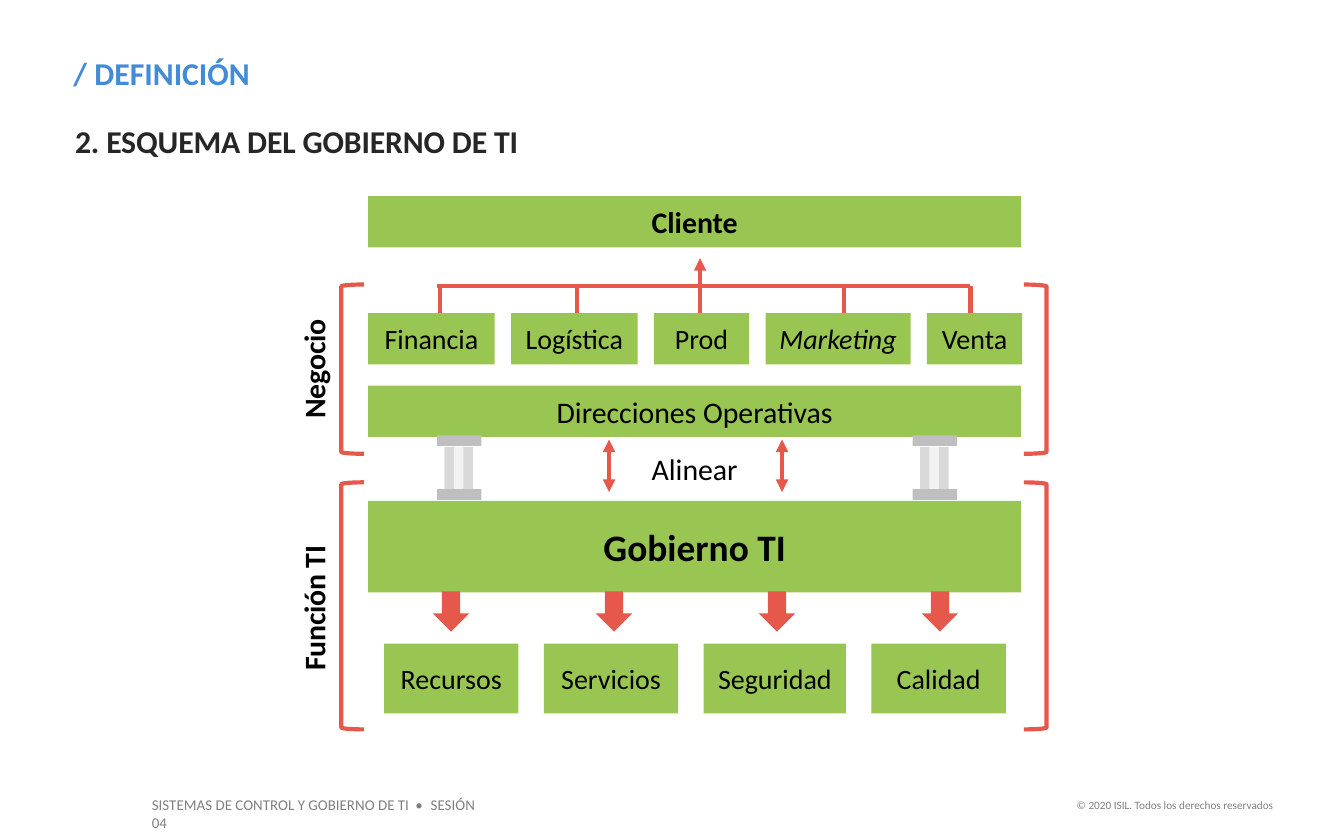
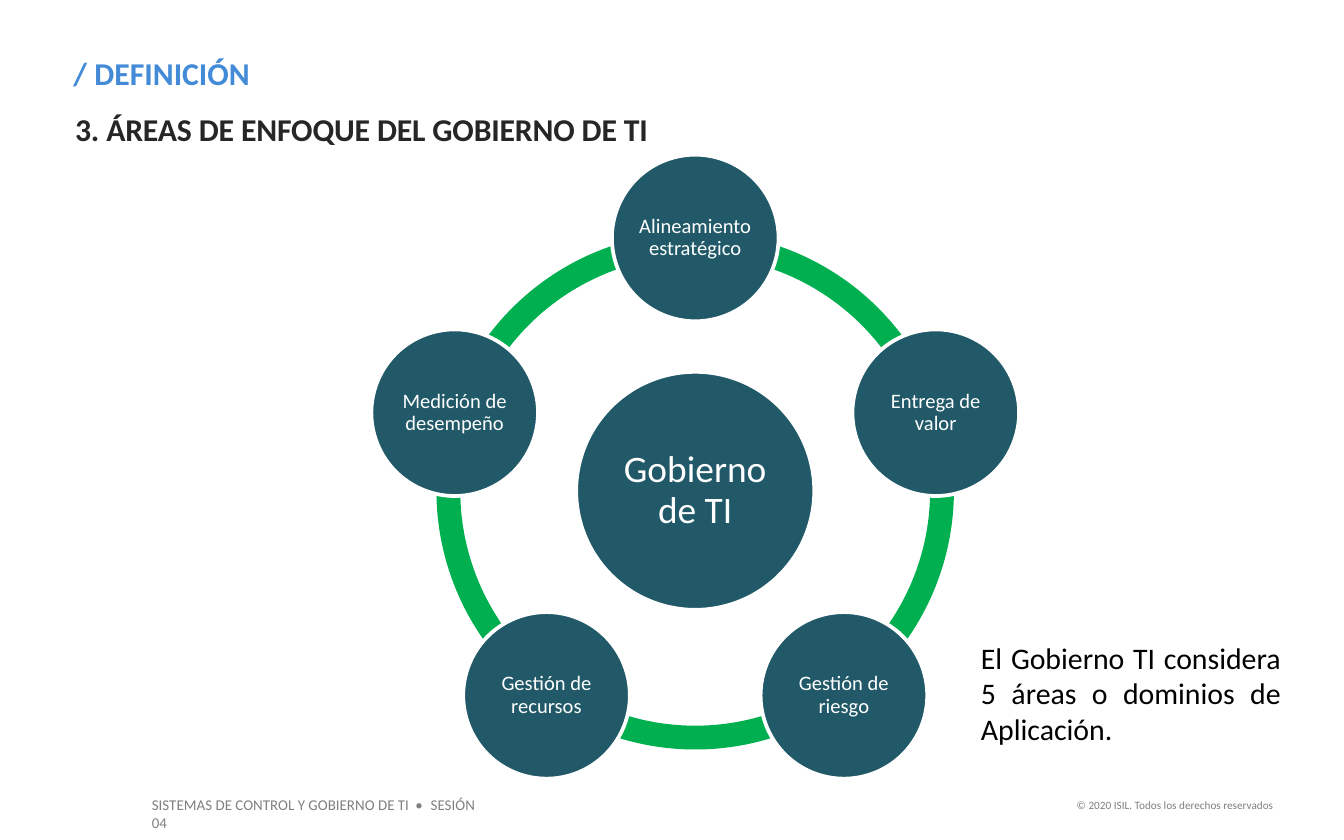
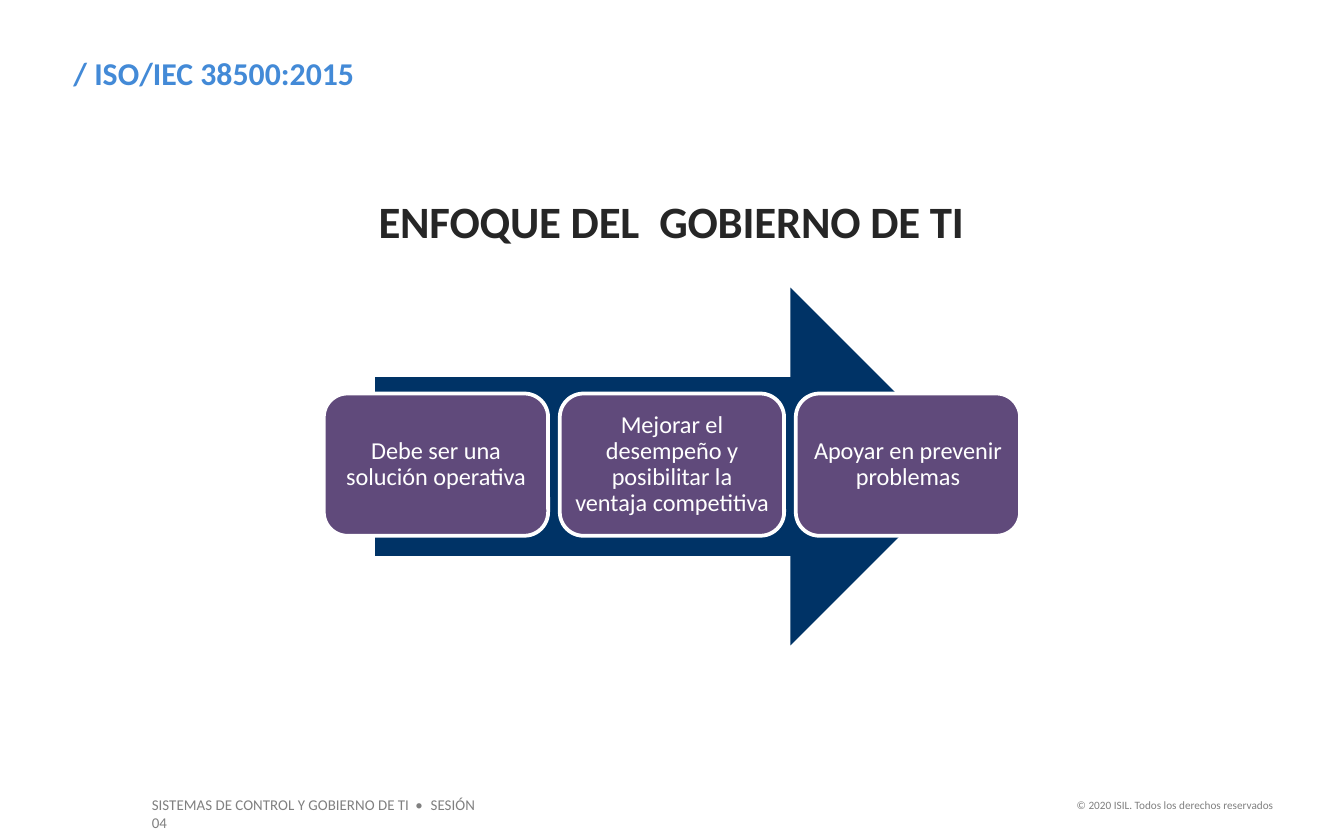
from dataclasses import dataclass
from math import cos, radians, sin
from typing import NamedTuple, Optional

from lxml.etree import SubElement
from pptx import Presentation
from pptx.dml.color import RGBColor
from pptx.enum.shapes import MSO_CONNECTOR, MSO_SHAPE
from pptx.enum.text import MSO_ANCHOR, PP_ALIGN
from pptx.oxml.ns import qn
from pptx.util import Cm, Pt


@dataclass(frozen=True)
class Theme:
    font: str = "Calibri"
    title: str = "438AD7"
    heading: str = "262626"
    footer: str = "808080"
    text: str = "000000"
    white: str = "FFFFFF"
    green: str = "99C652"
    red: str = "E5584B"
    ring: str = "00B050"
    teal: str = "215968"
    navy: str = "003366"
    purple: str = "604A7B"
    column_cap: str = "BFBFBF"
    column_shaft: tuple[str, ...] = ("D9D9D9", "F2F2F2", "D9D9D9")
    legal_size: float = 6
    footer_size: float = 8
    area_size: float = 11
    step_size: float = 13
    unit_size: float = 15
    body_size: float = 16
    title_size: float = 17
    hub_size: float = 20
    banner_size: float = 24
    thin_line: float = 2
    line: float = 2.25


THEME = Theme()


class Frame(NamedTuple):
    """Left, top, width and height in centimetres."""
    left: float
    top: float
    width: float
    height: float

    def lengths(self) -> list:
        return [Cm(value) for value in self]


class Style(NamedTuple):
    size: float
    color: str = THEME.text
    bold: bool = False
    italic: bool = False
    align: PP_ALIGN = PP_ALIGN.CENTER
    line_spacing: float = 1.0


class Span(NamedTuple):
    text: str
    spacing: float = 0  # points between letters


class Unit(NamedTuple):
    name: str
    width: float
    italic: bool = False


LEFT_TITLE = Style(THEME.title_size, THEME.title, bold=True, align=PP_ALIGN.LEFT)
LEFT_HEADING = LEFT_TITLE._replace(color=THEME.heading)
BODY = Style(THEME.body_size)
BOLD_BODY = BODY._replace(bold=True)
TIGHT = -0.1


def write(shape, spans: list[Span], style: Style, inset: Optional[float] = None,
          anchor: MSO_ANCHOR = MSO_ANCHOR.MIDDLE, wrap: bool = True) -> None:
    frame = shape.text_frame
    frame.word_wrap = wrap
    frame.vertical_anchor = anchor
    if inset is not None:
        frame.margin_left = frame.margin_right = Cm(inset)
        frame.margin_top = frame.margin_bottom = Cm(inset)
    para = frame.paragraphs[0]
    para.alignment = style.align
    para.line_spacing = style.line_spacing
    para.font.name = THEME.font
    para.font.size = Pt(style.size)
    para.font.bold = style.bold
    para.font.italic = style.italic
    para.font.color.rgb = RGBColor.from_string(style.color)
    for span in spans:
        run = para.add_run()
        run.text = span.text
        if span.spacing:
            run._r.get_or_add_rPr().set("spc", str(round(span.spacing * 100)))


def add_text(page, frame: Frame, spans: list[Span], style: Style,
             inset: Optional[float] = None, anchor: MSO_ANCHOR = MSO_ANCHOR.TOP,
             wrap: bool = True):
    box = page.shapes.add_textbox(*frame.lengths())
    write(box, spans, style, inset, anchor, wrap)
    return box


def add_figure(page, kind: MSO_SHAPE, frame: Frame, fill: Optional[str] = None,
               line: Optional[str] = None, width: float = THEME.line):
    figure = page.shapes.add_shape(kind, *frame.lengths())
    figure.shadow.inherit = False
    if fill:
        figure.fill.solid()
        figure.fill.fore_color.rgb = RGBColor.from_string(fill)
    else:
        figure.fill.background()
    if line:
        figure.line.color.rgb = RGBColor.from_string(line)
        figure.line.width = Pt(width)
    else:
        figure.line.fill.background()
    return figure


def add_block(page, frame: Frame, text: str, style: Style) -> None:
    block = add_figure(page, MSO_SHAPE.RECTANGLE, frame, THEME.green)
    write(block, [Span(text)], style)


def add_row(page, units: list[Unit], left: float, top: float, height: float,
            gap: float) -> None:
    """Place blocks of differing widths side by side with equal gaps."""
    for unit in units:
        style = Style(THEME.unit_size, italic=unit.italic)
        add_block(page, Frame(left, top, unit.width, height), unit.name, style)
        left += unit.width + gap


def add_line(page, start: tuple[float, float], end: tuple[float, float],
             arrows: bool = False) -> None:
    line = page.shapes.add_connector(
        MSO_CONNECTOR.STRAIGHT, *(Cm(value) for value in start + end))
    line.line.color.rgb = RGBColor.from_string(THEME.red)
    line.line.width = Pt(THEME.line)
    if arrows:
        for tag in ("a:headEnd", "a:tailEnd"):
            SubElement(line.line._get_or_add_ln(), qn(tag)).set("type", "triangle")
    SubElement(line._element.spPr, qn("a:effectLst"))


def add_column(page, left: float) -> None:
    for index, color in enumerate(THEME.column_shaft):
        shaft = Frame(left + 0.14 + 0.18 * index, 8.45, 0.18, 0.81)
        add_figure(page, MSO_SHAPE.RECTANGLE, shaft, color)
    for top in (8.23, 9.25):
        add_figure(page, MSO_SHAPE.RECTANGLE, Frame(left, top, 0.84, 0.2),
                   THEME.column_cap)


def add_disc(page, center: tuple[float, float], diameter: float, text: str,
             size: float, inset: float) -> None:
    frame = Frame(center[0] - diameter / 2, center[1] - diameter / 2,
                  diameter, diameter)
    disc = add_figure(page, MSO_SHAPE.OVAL, frame, THEME.teal, THEME.white,
                      THEME.thin_line)
    write(disc, [Span(text)], Style(size, THEME.white, line_spacing=0.9), inset)


def add_page(deck, title: str):
    """Add a blank page with the shared title and footers."""
    page = deck.slides.add_slide(deck.slide_layouts[6])
    footer = [Span("SISTEMAS DE CONTROL Y GOBIERNO DE TI"), Span(" • ", 1.2),
              Span("SESIÓN 04")]
    add_text(page, Frame(2.62, 14.91, 6.93, 0.61), footer,
             Style(THEME.footer_size, THEME.footer, align=PP_ALIGN.LEFT))
    add_text(page, Frame(20.02, 14.96, 4.29, 0.51),
             [Span("© 2020 ISIL. Todos los derechos reservados")],
             Style(THEME.legal_size, THEME.footer, align=PP_ALIGN.RIGHT), wrap=False)
    add_text(page, Frame(1.14, 0.89, 20.02, 0.99), [Span(title)], LEFT_TITLE)
    return page


def add_heading(page, top: float, text: str) -> None:
    add_text(page, Frame(1.42, top, 11.15, 0.74), [Span(text, TIGHT)],
             LEFT_HEADING, inset=0)


def build_scheme(deck) -> None:
    page = add_page(deck, "/ DEFINICIÓN")
    add_heading(page, 2.31, "2. ESQUEMA DEL GOBIERNO DE TI")

    bus = 5.41
    for x in (8.31, 10.9, 15.95, 18.34):
        add_line(page, (x, 6.43), (x, bus))
    add_line(page, (13.23, 4.88), (13.23, 6.55), arrows=True)
    add_line(page, (8.26, bus), (18.34, bus))
    for x in (11.51, 14.78):
        add_line(page, (x, 8.31), (x, 9.3), arrows=True)

    add_text(page, Frame(11.63, 8.38, 3, 0.97), [Span("Alinear")], BODY,
             anchor=MSO_ANCHOR.MIDDLE)
    left, width = 6.96, 12.34
    add_block(page, Frame(left, 3.71, width, 0.97), "Cliente", BOLD_BODY)
    add_row(page, [Unit("Financia", 2.39), Unit("Logística", 2.39),
                   Unit("Prod", 1.8), Unit("Marketing", 2.74, italic=True),
                   Unit("Venta", 1.8)], left, 5.92, 0.97, gap=0.31)
    add_block(page, Frame(left, 7.29, width, 0.97), "Direcciones Operativas", BODY)
    add_block(page, Frame(left, 9.47, width, 1.73), "Gobierno TI",
              Style(THEME.hub_size, bold=True))
    add_row(page, [Unit("Recursos", 2.54), Unit("Servicios", 2.54),
                   Unit("Seguridad", 2.69), Unit("Calidad", 2.54)],
            7.26, 12.17, 1.32, gap=0.48)

    for index in range(4):
        add_figure(page, MSO_SHAPE.DOWN_ARROW,
                   Frame(8.18 + 3.08 * index, 11.18, 0.69, 0.76), THEME.red)
    for x in (17.25, 8.26):
        add_column(page, x)

    for label, label_top, top, height in (("Negocio", 6.63, 5.38, 3.2),
                                          ("Función TI", 11.15, 9.12, 4.67)):
        for kind, x in ((MSO_SHAPE.LEFT_BRACKET, 6.45),
                        (MSO_SHAPE.RIGHT_BRACKET, 19.35)):
            add_figure(page, kind, Frame(x, top, 0.43, height), line=THEME.red)
        box = add_text(page, Frame(4.62, label_top, 2.62, 0.69),
                       [Span(label, TIGHT)], BOLD_BODY, inset=0)
        box.rotation = 270


def build_focus_areas(deck) -> None:
    page = add_page(deck, "/ DEFINICIÓN")
    add_heading(page, 2.08, "3. ÁREAS DE ENFOQUE DEL GOBIERNO DE TI")

    areas = ["Alineamiento estratégico", "Entrega de valor", "Gestión de riesgo",
             "Gestión de recursos", "Medición de desempeño"]
    center_x, center_y = 13.14, 9.28
    ring, orbit = 9.78, 4.78
    step = 360 / len(areas)
    angles = [(270 + step * index) % 360 for index in range(len(areas))]
    degree = 0.6  # one degree as an adjustment value
    for angle in angles:
        arc = add_figure(page, MSO_SHAPE.BLOCK_ARC,
                         Frame(center_x - ring / 2, center_y - ring / 2, ring, ring),
                         THEME.ring)
        arc.adjustments[0] = angle * degree
        arc.adjustments[1] = (angle + step) % 360 * degree
        arc.adjustments[2] = 0.046
    add_disc(page, (center_x, center_y), 4.5, "Gobierno de TI", THEME.hub_size, 0.08)
    for area, angle in zip(areas, angles):
        center = (center_x + orbit * cos(radians(angle)),
                  center_y + orbit * sin(radians(angle)))
        add_disc(page, center, 3.15, area, THEME.area_size, 0.05)

    add_text(page, Frame(18.29, 11.96, 6.17, 2.31),
             [Span("El Gobierno TI considera 5 áreas o dominios de Aplicación.")],
             BODY._replace(align=PP_ALIGN.JUSTIFY))


def build_approach(deck) -> None:
    page = add_page(deck, "/ ISO/IEC 38500:2015")
    add_text(page, Frame(2.84, 3.66, 19.69, 1.02),
             [Span("ENFOQUE DEL", TIGHT), Span(" ", 5.3),
              Span("GOBIERNO DE TI", TIGHT)],
             Style(THEME.banner_size, THEME.heading, bold=True), inset=0)
    add_figure(page, MSO_SHAPE.RIGHT_ARROW, Frame(7.09, 5.44, 11.23, 6.76), THEME.navy)
    goals = ["Debe ser una solución operativa",
             "Mejorar el desempeño y posibilitar la ventaja competitiva",
             "Apoyar en prevenir problemas"]
    for index, goal in enumerate(goals):
        card = add_figure(page, MSO_SHAPE.ROUNDED_RECTANGLE,
                          Frame(6.12 + 4.46 * index, 7.44, 4.24, 2.69),
                          THEME.purple, THEME.white, THEME.thin_line)
        write(card, [Span(goal)],
              Style(THEME.step_size, THEME.white, line_spacing=0.9), inset=0.13)


def main() -> None:
    deck = Presentation()
    deck.slide_width, deck.slide_height = Cm(25.4), Cm(15.88)
    build_scheme(deck)
    build_focus_areas(deck)
    build_approach(deck)
    deck.save("out.pptx")


if __name__ == "__main__":
    main()
